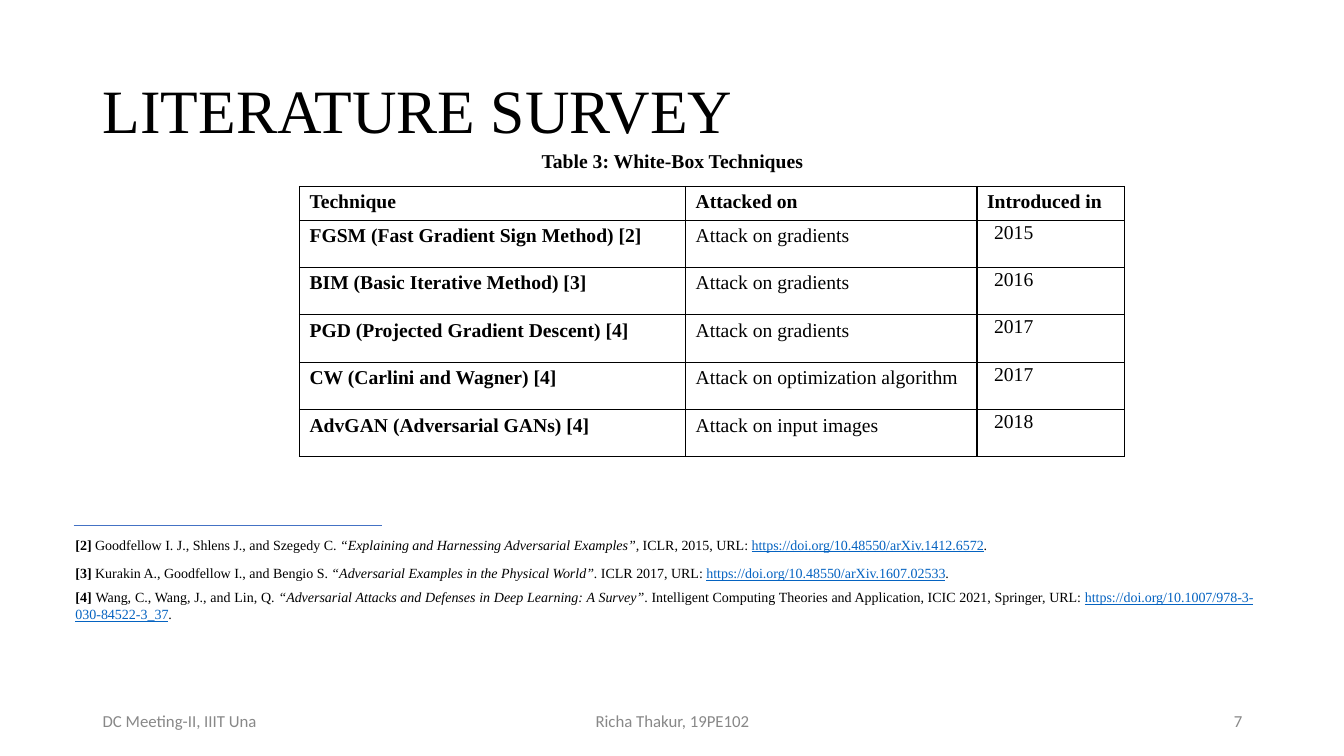
"""Build the literature survey slide with a table of white-box techniques."""
from lxml.etree import SubElement
from pptx import Presentation
from pptx.dml.color import RGBColor
from pptx.enum.shapes import MSO_CONNECTOR
from pptx.enum.text import MSO_ANCHOR, PP_ALIGN
from pptx.oxml import parse_xml
from pptx.oxml.ns import nsdecls, qn
from pptx.util import Inches, Pt

SERIF = "Times New Roman"
BLACK, GREY, LINK, RULE = "000000", "888888", "0563C1", "4472C4"
MARGIN, CONTENT_WIDTH = 0.92, 11.5


def format_runs(paragraph, size, color=BLACK, font=SERIF, bold=False):
    for run in paragraph.runs:
        run.font.size = Pt(size)
        run.font.name = font
        run.font.bold = bold
        run.font.color.rgb = RGBColor.from_string(color)


def add_text_box(left, top, width, height, alignment, anchor=MSO_ANCHOR.TOP):
    box = slide.shapes.add_textbox(Inches(left), Inches(top), Inches(width), Inches(height))
    box.text_frame.word_wrap = True
    box.text_frame.vertical_anchor = anchor
    paragraph = box.text_frame.paragraphs[0]
    paragraph.alignment = alignment
    return paragraph


presentation = Presentation()
presentation.slide_width = Inches(13.33)
presentation.slide_height = Inches(7.5)
slide = presentation.slides.add_slide(presentation.slide_layouts[5])

title = slide.shapes.title
title.left, title.top = Inches(MARGIN), Inches(0.4)
title.width, title.height = Inches(CONTENT_WIDTH), Inches(1.45)
title.text_frame.text = "LITERATURE SURVEY"
title.text_frame.vertical_anchor = MSO_ANCHOR.MIDDLE
heading = title.text_frame.paragraphs[0]
heading.alignment = PP_ALIGN.LEFT
heading.line_spacing = 0.9
format_runs(heading, 44)

caption = add_text_box(MARGIN, 1.45, CONTENT_WIDTH, 0.35, PP_ALIGN.CENTER)
caption.text = "Table 3: White-Box Techniques"
caption.line_spacing = 0.9
format_runs(caption, 14, bold=True)

techniques = [
    ("Technique", "Attacked on", "Introduced in"),
    ("FGSM (Fast Gradient Sign Method) [2]", "Attack on gradients", "2015"),
    ("BIM (Basic Iterative Method) [3]", "Attack on gradients", "2016"),
    ("PGD (Projected Gradient Descent) [4]", "Attack on gradients", "2017"),
    ("CW (Carlini and Wagner) [4]", "Attack on optimization algorithm", "2017"),
    ("AdvGAN (Adversarial GANs) [4]", "Attack on input images", "2018"),
]
column_widths = [3.83, 2.89, 1.46]
row_heights = [0.33] + [0.47] * (len(techniques) - 1)
table = slide.shapes.add_table(
    len(techniques), len(column_widths), Inches(2.97), Inches(1.85),
    Inches(sum(column_widths)), Inches(sum(row_heights))).table
table.first_row = table.horz_banding = False
for column, width in zip(table.columns, column_widths):
    column.width = Inches(width)
for row_index, (row, height) in enumerate(zip(table.rows, row_heights)):
    row.height = Inches(height)
    for column_index, cell in enumerate(row.cells):
        cell.text_frame.text = techniques[row_index][column_index]
        paragraph = cell.text_frame.paragraphs[0]
        format_runs(paragraph, 14, bold=row_index == 0 or column_index == 0)
        if row_index > 0 and column_index == 2:
            cell.margin_left, cell.margin_right = Inches(0.17), Inches(0.07)
            cell.margin_top = cell.margin_bottom = 0
            paragraph.line_spacing = 1.07
        properties = cell._tc.get_or_add_tcPr()
        for side in ("lnL", "lnR", "lnT", "lnB"):
            properties.append(parse_xml(
                f'<a:{side} {nsdecls("a")} w="{Pt(1)}"><a:solidFill>'
                f'<a:srgbClr val="{BLACK}"/></a:solidFill></a:{side}>'))
        cell.fill.background()

footers = [
    (MARGIN, 3, PP_ALIGN.LEFT, "DC Meeting-II, IIIT Una"),
    (4.42, 4.5, PP_ALIGN.CENTER, "Richa Thakur, 19PE102"),
    (9.42, 3, PP_ALIGN.RIGHT, "7"),
]
for left, width, alignment, text in footers:
    footer = add_text_box(left, 6.95, width, 0.4, alignment, MSO_ANCHOR.MIDDLE)
    footer.text = text
    format_runs(footer, 12, GREY, "Calibri")

rule = slide.shapes.add_connector(
    MSO_CONNECTOR.STRAIGHT, Inches(0.73), Inches(5.21), Inches(3.79), Inches(5.21))
rule.line.color.rgb = RGBColor.from_string(RULE)
rule.line.width = Pt(0.75)
SubElement(rule._element.spPr, qn("a:effectLst"))

references = [
    (5.27, 11.77, 0.27, "[2] ", "Goodfellow I. J., Shlens J., and Szegedy C. ",
     "“Explaining and Harnessing Adversarial Examples”, ", "ICLR, 2015, URL: ",
     "https://doi.org/10.48550/arXiv.1412.6572"),
    (5.55, 11.77, 0.27, "[3] ", "Kurakin A., Goodfellow I., and Bengio S. ",
     "“Adversarial Examples in the Physical World”. ", "ICLR 2017, URL: ",
     "https://doi.org/10.48550/arXiv.1607.02533"),
    (5.79, 11.88, 0.61, "[4] ", "Wang, C., Wang, J., and Lin, Q. ",
     "“Adversarial Attacks and Defenses in Deep Learning: A Survey”",
     ". Intelligent Computing Theories and Application, ICIC 2021, Springer, URL: ",
     "https://doi.org/10.1007/978-3-030-84522-3_37"),
]
for top, width, height, *parts in references:
    reference = add_text_box(0.65, top, width, height, PP_ALIGN.JUSTIFY)
    for part in parts + ["."]:
        reference.add_run().text = part
    format_runs(reference, 10)
    number, authors, work, venue, address, stop = reference.runs
    number.font.bold = True
    work.font.italic = True
    address.font.underline = True
    address.font.color.rgb = RGBColor.from_string(LINK)

presentation.save("out.pptx")
